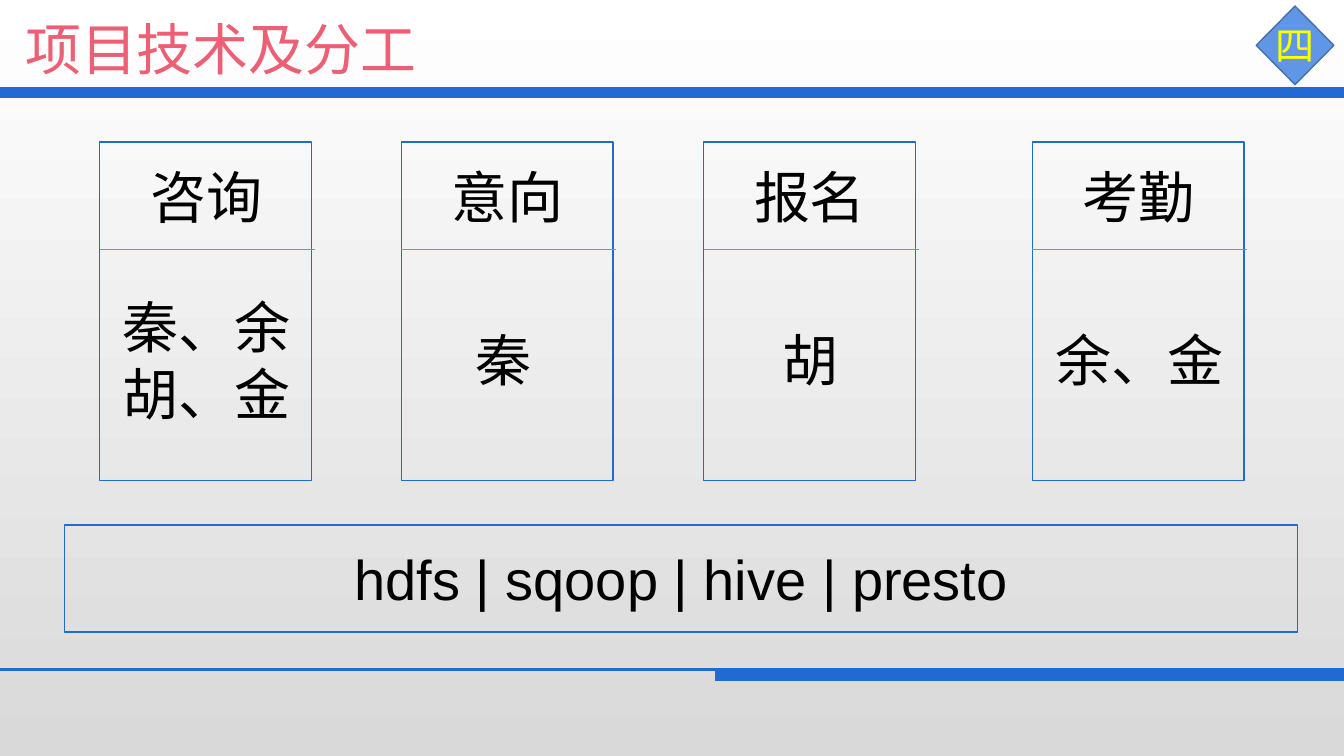
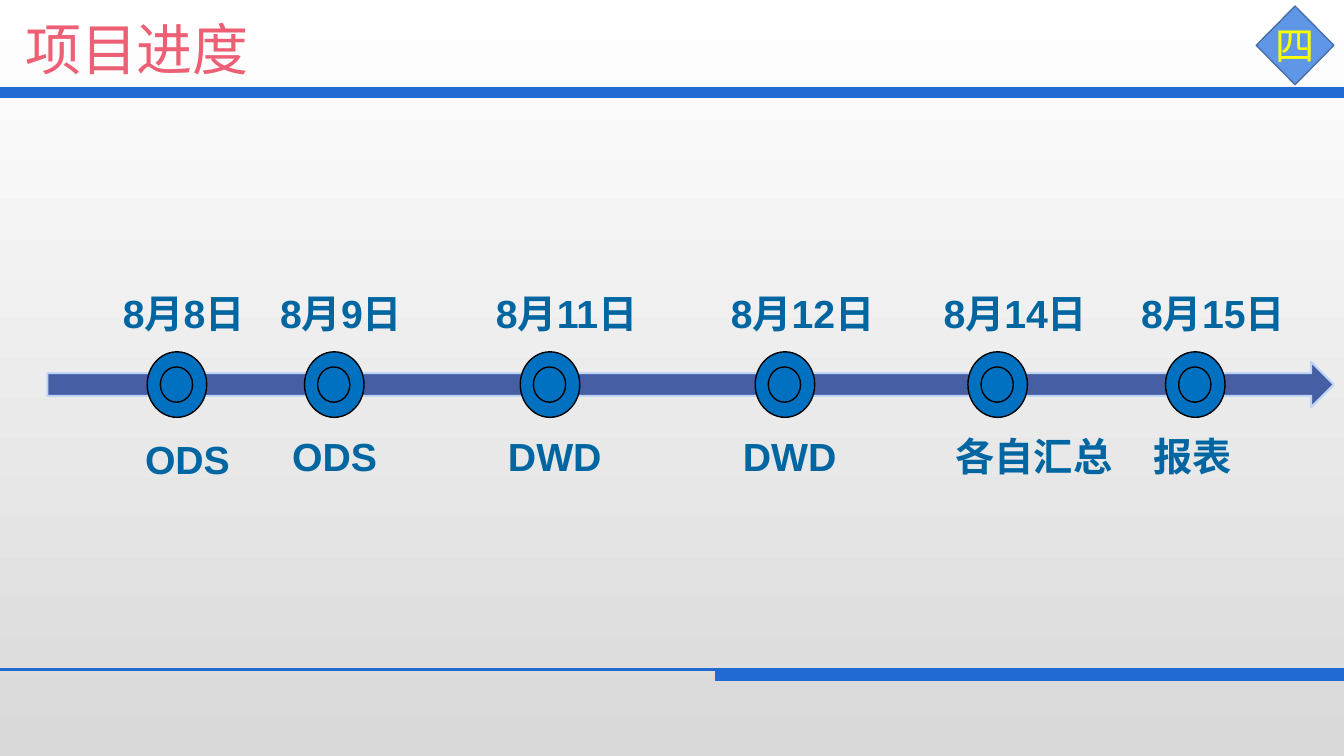
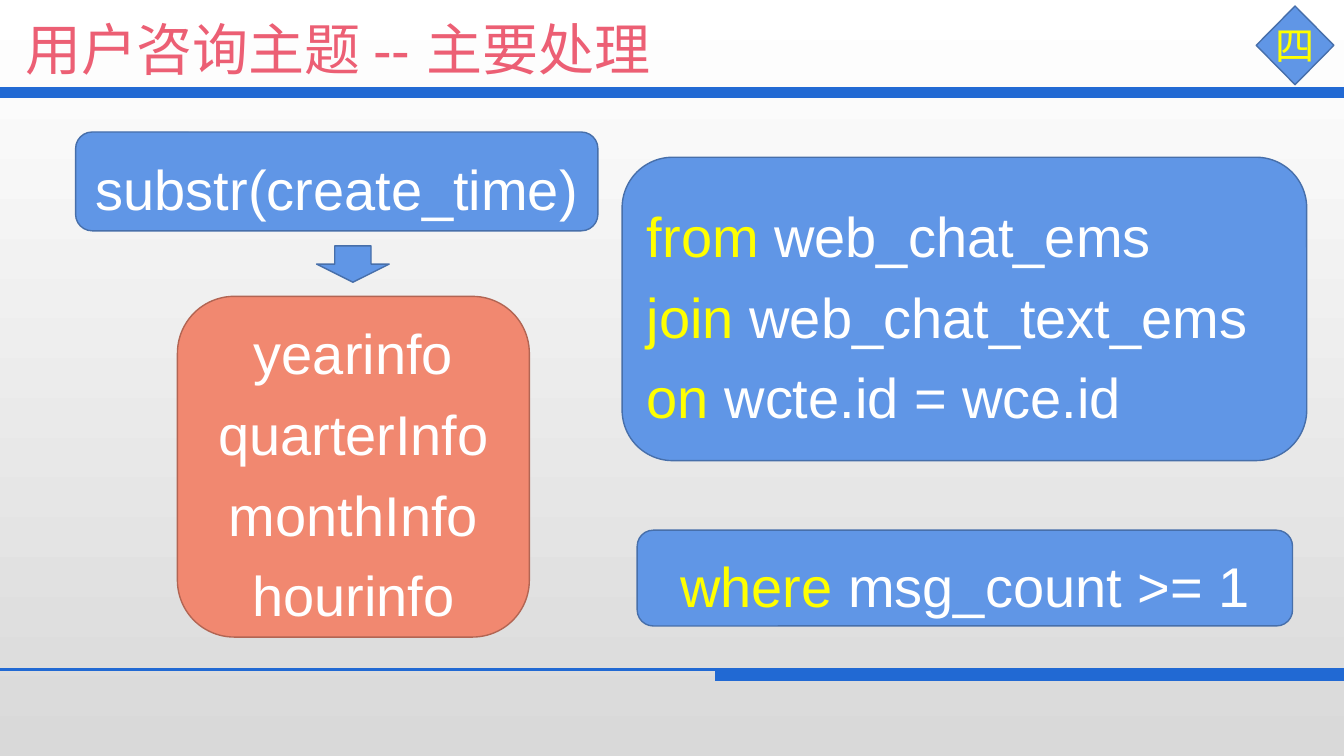
from pptx import Presentation
from pptx.dml.color import RGBColor
from pptx.enum.shapes import MSO_CONNECTOR, MSO_SHAPE
from pptx.enum.text import MSO_ANCHOR, MSO_AUTO_SIZE, PP_ALIGN
from pptx.oxml.ns import qn
from pptx.util import Inches, Pt

LEFT, CENTER = PP_ALIGN.LEFT, PP_ALIGN.CENTER
RECTANGLE, ROUNDED = MSO_SHAPE.RECTANGLE, MSO_SHAPE.ROUNDED_RECTANGLE
OVAL, DIAMOND = MSO_SHAPE.OVAL, MSO_SHAPE.DIAMOND
RIGHT_ARROW, DOWN_ARROW = MSO_SHAPE.RIGHT_ARROW, MSO_SHAPE.DOWN_ARROW

FONT = "Arial"
COLORS = {
    "white": "FFFFFF", "gray": "D9D9D9", "black": "000000",
    "band": "2169D3", "title": "EC5F74", "yellow": "FFFF00",
    "blue": "6096E6", "blue_edge": "476FAA",
    "coral": "F18870", "coral_edge": "B26553",
    "arrow": "465EA4", "arrow_edge": "BFD5F5",
    "marker": "0070C0", "label": "0066A1",
}

# Content
SECTION = "四"

DIVISION_TITLE = "项目技术及分工"
# left edge, topic, members, centre of members
CARDS = [
    (0.99, "咨询", ["秦、余", "胡、金"], 2.05),
    (3.98, "意向", ["秦"], 4.99),
    (6.98, "报名", ["胡"], 8.04),
    (10.24, "考勤", ["余、金"], 11.3),
]
TOOLS = "hdfs | sqoop | hive | presto"

PROGRESS_TITLE = "项目进度"
# marker left, date, stage, stage left offset, stage top
MILESTONES = [
    (1.46, "8月8日", "ODS", -0.12, 4.27),
    (3.02, "8月9日", "ODS", -0.22, 4.24),
    (5.16, "8月11日", "DWD", -0.22, 4.24),
    (7.49, "8月12日", "DWD", -0.22, 4.24),
    (9.6, "8月14日", "各自汇总", -0.22, 4.24),
    (11.56, "8月15日", "报表", -0.22, 4.24),
]

PROCESS_TITLE = "用户咨询主题 -- 主要处理"
# box, theme, alignment, lines of (keyword, rest)
PROCESS_BOXES = [
    ((6.32, 5.26, 6.5, 0.95), "blue", CENTER, [("where", " msg_count >= 1")]),
    ((0.75, 1.31, 5.18, 0.98), "blue", CENTER, [("", "substr(create_time)")]),
    ((1.76, 2.94, 3.49, 3.38), "coral", CENTER,
     [("", "yearinfo"), ("", "quarterInfo"), ("", "monthInfo"), ("", "hourinfo")]),
    ((6.17, 1.56, 6.79, 3.01), "blue", LEFT,
     [("from ", "web_chat_ems"), ("join ", "web_chat_text_ems"),
      ("on ", "wcte.id = wce.id")]),
]


def rgb(name):
    return RGBColor.from_string(COLORS[name])


def style_font(font, size, color, bold=False):
    font.name, font.size, font.bold = FONT, Pt(size), bold
    font.color.rgb = rgb(color)


def add_line(slide, x1, x2, y, color, width):
    line = slide.shapes.add_connector(
        MSO_CONNECTOR.STRAIGHT, Inches(x1), Inches(y), Inches(x2), Inches(y))
    line.line.color.rgb = rgb(color)
    line.line.width = Pt(width)
    properties = line._element.spPr
    properties.append(properties.makeelement(qn("a:effectLst"), {}))


def add_box(shapes, kind, box, fill, edge, width=1):
    shape = shapes.add_shape(kind, *map(Inches, box))
    shape.shadow.inherit = False
    if fill:
        shape.fill.solid()
        shape.fill.fore_color.rgb = rgb(fill)
    else:
        shape.fill.background()
    shape.line.color.rgb = rgb(edge)
    shape.line.width = Pt(width)
    return shape


def write_lines(frame, lines, size, color, align=LEFT, bold=False):
    for index, text in enumerate(lines):
        paragraph = frame.add_paragraph() if index else frame.paragraphs[0]
        paragraph.text = text
        paragraph.alignment = align
        style_font(paragraph.font, size, color, bold)


def add_text(slide, box, lines, size, color, align=LEFT, bold=False, wrap=True):
    frame = slide.shapes.add_textbox(*map(Inches, box)).text_frame
    frame.word_wrap = wrap
    frame.auto_size = MSO_AUTO_SIZE.SHAPE_TO_FIT_TEXT
    write_lines(frame, lines, size, color, align, bold)


def add_base_slide(presentation, title):
    """Add a slide with the shared title, section badge and bands."""
    slide = presentation.slides.add_slide(presentation.slide_layouts[6])
    add_line(slide, -0.02, 13.34, 0.92, "band", 8)
    add_text(slide, (0.15, 0.1, 8.72, 0.77), [title], 40, "title")
    add_box(slide.shapes, DIAMOND, (12.46, 0.06, 0.77, 0.78), "blue", "blue_edge")
    add_text(slide, (12.55, 0.16, 0.59, 0.57), [SECTION], 28, "yellow", wrap=False)
    add_line(slide, 7.09, 13.34, 6.7, "band", 8)
    add_line(slide, -0.01, 13.35, 6.64, "band", 2)
    return slide


def build_division(presentation):
    slide = add_base_slide(presentation, DIVISION_TITLE)
    for left, topic, members, center in CARDS:
        add_box(slide.shapes, RECTANGLE, (left, 1.41, 2.1, 3.36), None, "band")
        add_line(slide, left, left + 2.13, 2.47, "blue", 0.5)
        add_text(slide, (left + 0.4, 1.56, 1.31, 0.77), [topic], 40, "black", wrap=False)
        height = 0.1 + 0.67 * len(members)
        add_text(slide, (center - 0.94, 3.57 - height / 2, 1.88, height),
                 members, 40, "black", CENTER, wrap=False)
    tools = add_box(slide.shapes, RECTANGLE, (0.64, 5.21, 12.23, 1.06), None, "band")
    tools.text_frame.vertical_anchor = MSO_ANCHOR.MIDDLE
    write_lines(tools.text_frame, [TOOLS], 40, "black", CENTER)


def build_progress(presentation):
    slide = add_base_slide(presentation, PROGRESS_TITLE)
    add_box(slide.shapes, RIGHT_ARROW, (0.47, 3.59, 12.76, 0.45),
            "arrow", "arrow_edge", 1.5)
    for left, date, stage, offset, top in MILESTONES:
        marker = slide.shapes.add_group_shape()
        for ring in ((left, 3.49, 0.59, 0.65), (left + 0.13, 3.64, 0.32, 0.35)):
            add_box(marker.shapes, OVAL, ring, "marker", "black")
        add_text(slide, (left - 0.34, 2.82, 2.56, 0.57), [date], 28, "label", bold=True)
        add_text(slide, (left + offset, top, 2.56, 0.57), [stage], 28, "label", bold=True)


def build_process(presentation):
    slide = add_base_slide(presentation, PROCESS_TITLE)
    for box, theme, align, lines in PROCESS_BOXES:
        shape = add_box(slide.shapes, ROUNDED, box, theme, theme + "_edge")
        frame = shape.text_frame
        frame.vertical_anchor = MSO_ANCHOR.MIDDLE
        write_lines(frame, [""] * len(lines), 40, "white", align)
        for paragraph, (keyword, rest) in zip(frame.paragraphs, lines):
            paragraph.line_spacing = 1.2
            for text, color in ((keyword, "yellow"), (rest, "white")):
                if text:
                    run = paragraph.add_run()
                    run.text = text
                    style_font(run.font, 40, color)
    add_box(slide.shapes, DOWN_ARROW, (3.14, 2.44, 0.72, 0.36), "blue", "blue_edge")


def main():
    presentation = Presentation()
    presentation.slide_width = Inches(13.33)
    presentation.slide_height = Inches(7.5)

    # Shared background
    fill = presentation.slide_master.background.fill
    fill.gradient()
    fill.gradient_angle = 270
    for stop, color in zip(fill.gradient_stops, ("white", "gray")):
        stop.color.rgb = rgb(color)

    build_division(presentation)
    build_progress(presentation)
    build_process(presentation)
    presentation.save("out.pptx")


if __name__ == "__main__":
    main()
